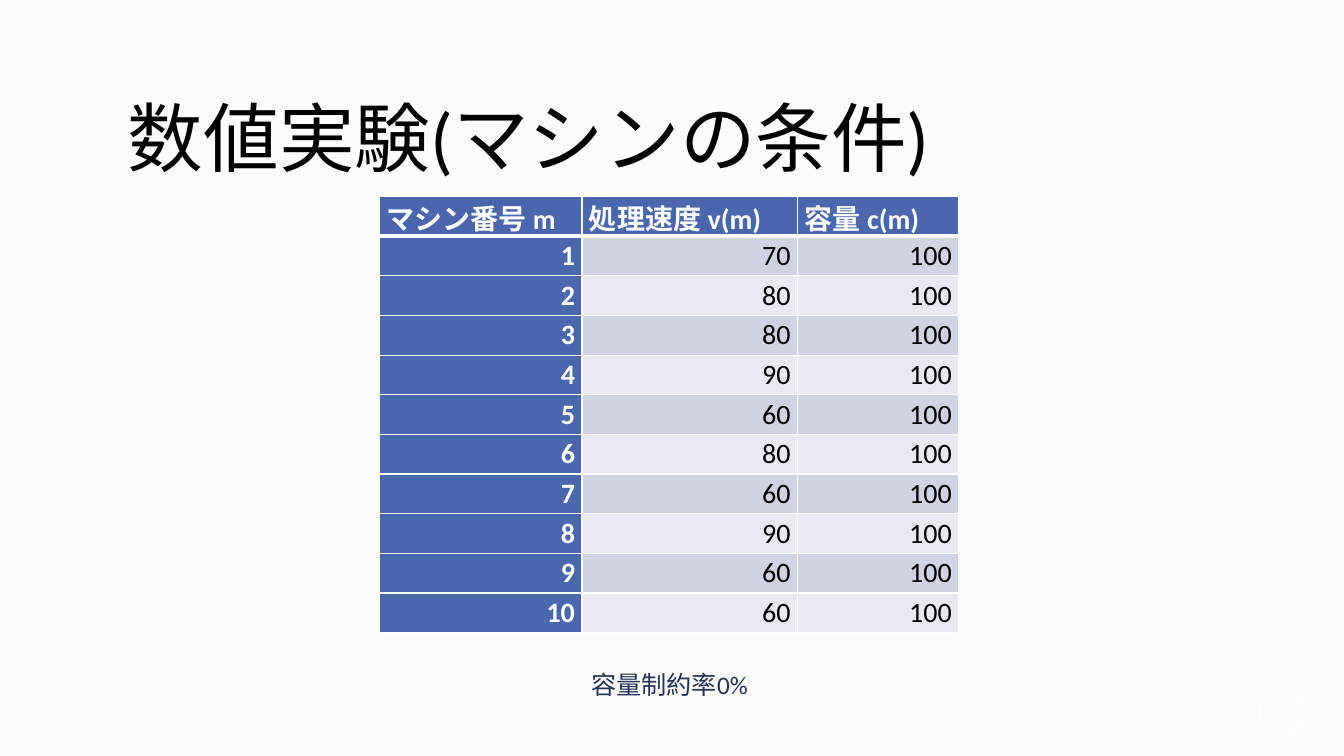
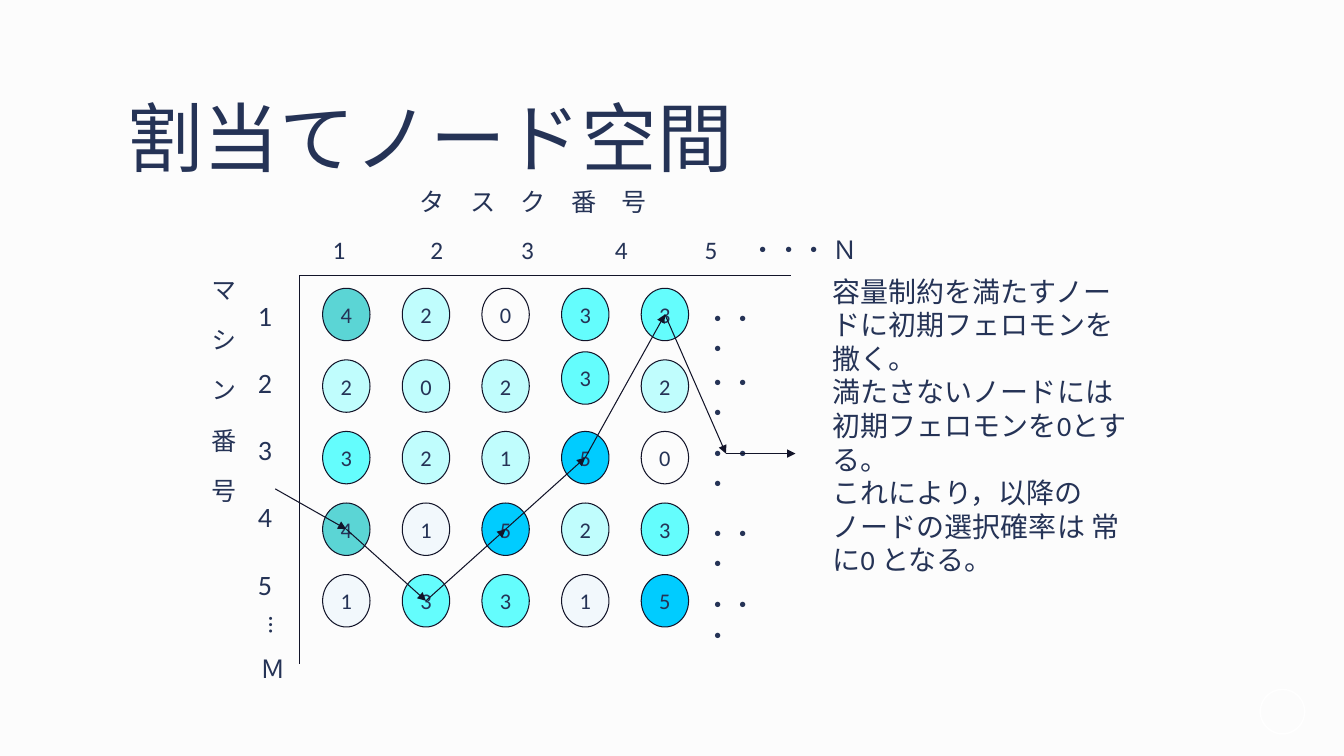
from itertools import pairwise

from lxml import etree
from pptx import Presentation
from pptx.dml.color import RGBColor
from pptx.enum import shapes, text
from pptx.oxml import ns
from pptx import util as u

W, H = 13.33, 7.5
FONT = "Calibri"
BG, INK, LINE, BLACK, WHITE = "FCFCFC", "253356", "121429", "000000", "FFFFFF"
HEAD, BANDS = "4A66AC", ("D0D3E3", "E9EAF1")
LEFT, CENTER, RIGHT = text.PP_ALIGN.LEFT, text.PP_ALIGN.CENTER, text.PP_ALIGN.RIGHT
MIDDLE = text.MSO_ANCHOR.MIDDLE

MACHINE_HEADS = ("マシン番号 m", "処理速度 v(m)", "容量 c(m)")
SPEEDS = (70, 80, 80, 90, 60, 80, 60, 90, 60, 60)
CAPACITY = 100

COL, ROW = 0.79, 0.71
NODE_W, NODE_H = 0.47, 0.52
NODES = ((4, 2, 0, 3, 3), (2, 0, 2, 3, 2), (3, 2, 1, 5, 0), (4, 1, 5, 2, 3), (1, 3, 3, 1, 5))
PHEROMONE = {1: ("CCECFF", 20), 2: ("66FFFF", 40), 3: ("00FFFF", 60),
             4: ("33CCCC", 80), 5: ("00CCFF", 100)}
PALE_NODES = ((1, 1), (2, 2))
RAISED_NODE = (1, 3)
ROUTE = ((3, 0), (4, 1), (3, 2), (2, 3), (0, 4))
TASK_TABS = (0.97, 1.87, 2.8, 3.69, 4.15)
NOTES = ("容量制約を満たすノードに初期フェロモンを撒く。",
         "満たさないノードには初期フェロモンを0とする。",
         "これにより，以降のノードの選択確率は 常に0 となる。")


def rgb(color):
    """Return the colour for a hex string."""
    return RGBColor.from_string(color)


def inches(*values):
    """Turn numbers of inches into lengths."""
    return [u.Inches(v) for v in values]


def sub(parent, tag, **attrs):
    """Append a drawing element to a parent."""
    return etree.SubElement(parent, ns.qn(tag), attrs)


def style(p, size, color=INK, bold=False, align=LEFT):
    """Format a paragraph and its runs."""
    p.alignment = align
    for r in p.runs:
        r.font.name, r.font.size, r.font.bold = FONT, u.Pt(size), bold
        r.font.color.rgb = rgb(color)


def add_text(slide, box, lines, size, color=INK, align=LEFT, vertical=False, after=0):
    """Add a wrapped text box, one paragraph for each line."""
    tf = slide.shapes.add_textbox(*inches(*box)).text_frame
    tf.word_wrap = True
    tf.text = "\n".join(lines)
    for p in tf.paragraphs:
        style(p, size, color, align=align)
        p.space_after = u.Pt(after)
    if vertical:
        tf._txBody.bodyPr.set("vert", "eaVert")
    return tf


def add_line(slide, start, end, arrow=False):
    """Draw a thin line, with an arrowhead at its end if asked."""
    cx = slide.shapes.add_connector(shapes.MSO_CONNECTOR.STRAIGHT, *inches(*start, *end))
    cx.line.color.rgb, cx.line.width = rgb(LINE), u.Pt(0.75)
    if arrow:
        sub(cx.line._get_or_add_ln(), "a:tailEnd", type="triangle")
    sub(cx._element.spPr, "a:effectLst")


def add_ellipse(slide, box, line, width, fill=None, opacity=100):
    """Draw an outlined ellipse with an optional translucent fill."""
    sp = slide.shapes.add_shape(shapes.MSO_SHAPE.OVAL, *inches(*box))
    sp.shadow.inherit = False
    sp.line.color.rgb, sp.line.width = rgb(line), u.Pt(width)
    if fill:
        sp.fill.solid()
        sp.fill.fore_color.rgb = rgb(fill)
        if opacity < 100:
            clr = sp._element.spPr.find(ns.qn("a:solidFill"))[0]
            sub(clr, "a:alpha", val=str(opacity * 1000))
    else:
        sp.fill.background()
    return sp


def add_base(prs, title, color=INK):
    """Add a slide with its corner ring and title."""
    slide = prs.slides.add_slide(prs.slide_layouts[6])
    add_ellipse(slide, (12.5, 6.84, 0.44, 0.44), WHITE, 1)
    tf = add_text(slide, (1.17, 0.53, 11, 1.76), [title], 54, color)
    tf.vertical_anchor = MIDDLE
    tf.paragraphs[0].line_spacing = 0.9
    return slide


def set_borders(cell, top, bottom):
    """Give a cell white borders of the given top and bottom widths."""
    tc_pr = cell._tc.get_or_add_tcPr()
    for i, (side, width) in enumerate(zip("LRTB", (1, 1, top, bottom))):
        ln = etree.Element(ns.qn(f"a:ln{side}"), w=str(u.Pt(width)))
        sub(sub(ln, "a:solidFill"), "a:srgbClr", val=WHITE)
        tc_pr.insert(i, ln)


def add_machine_table(slide, box):
    """Fill a box with the table of machine speeds and capacities."""
    x, y, w, h = box
    rows = [MACHINE_HEADS] + [(i, v, CAPACITY) for i, v in enumerate(SPEEDS, 1)]
    table = slide.shapes.add_table(len(rows), len(MACHINE_HEADS), *inches(*box)).table
    for column, share in zip(table.columns, (0.35, 0.372, 0.278)):
        column.width = u.Inches(w * share)
    for i, values in enumerate(rows):
        table.rows[i].height = u.Inches(h / len(rows))
        for j, value in enumerate(values):
            cell = table.cell(i, j)
            head = i == 0 or j == 0
            cell.text = str(value)
            cell.vertical_anchor = MIDDLE
            cell.margin_left = cell.margin_right = u.Inches(0.07)
            cell.margin_top = cell.margin_bottom = 0
            cell.fill.solid()
            cell.fill.fore_color.rgb = rgb(HEAD if head else BANDS[(i - 1) % 2])
            set_borders(cell, 3 if i == 1 else 1, 3 if i == 0 else 1)
            style(cell.text_frame.paragraphs[0], 20, WHITE if head else BLACK, head,
                  RIGHT if i else LEFT)


def add_axes(slide, box):
    """Draw the task and machine axes with their labels."""
    x, y, w, h = box
    add_line(slide, (x, y), (x + w, y))
    add_line(slide, (x, y), (x, y + h))
    add_text(slide, (x + 0.31, y - 0.93, 4.02, 0.4), ["タ　ス　ク　番　号"], 18, align=CENTER)
    tf = add_text(slide, (x + 0.23, y - 0.45, 6.43, 0.4),
                  ["\t".join(("1", "2", "3", "4", "5", "・・・ Ｎ"))], 18)
    tabs = sub(tf.paragraphs[0]._p.get_or_add_pPr(), "a:tabLst")
    for pos in TASK_TABS:
        sub(tabs, "a:tab", pos=str(u.Inches(pos)), algn="l")
    add_text(slide, (x - 0.51, y + 0.18, 0.5, 3.47), "12345", 20, after=24)
    for label, dx, dy, length in (("マ　シ　ン　番　号", -1.06, -0.08, 4.1),
                                  ("…", -0.5, 3.29, 0.55), ("Ｍ", -0.57, 3.69, 0.55)):
        add_text(slide, (x + dx, y + dy, 0.5, length), [label], 18, vertical=True)
    for dy in (0.23, 0.86, 1.57, 2.36, 3.07):
        add_text(slide, (x + 3.93, y + dy, COL, ROW), ["・・・"], 18)


def add_nodes(slide, x, y):
    """Draw the grid of pheromone nodes from its top left corner."""
    for i, values in enumerate(NODES):
        for j, value in enumerate(values):
            top = y + i * ROW - (0.08 if (i, j) == RAISED_NODE else 0)
            fill = PHEROMONE[2] if (i, j) in PALE_NODES else PHEROMONE.get(value, (None, 100))
            sp = add_ellipse(slide, (x + j * COL, top, NODE_W, NODE_H), LINE, 0.75, *fill)
            tf = sp.text_frame
            tf.margin_left = tf.margin_right = tf.margin_top = tf.margin_bottom = 0
            tf.vertical_anchor = MIDDLE
            tf.text = str(value)
            style(tf.paragraphs[0], 16, align=CENTER)


def add_route(slide, x, y):
    """Draw the chain of arrows through the chosen nodes."""
    centers = [(x + j * COL + NODE_W / 2, y + i * ROW + NODE_H / 2) for i, j in ROUTE]
    points = [(x - 0.47, y + 1.99), *centers, (x + 4, y + 1.64), (x + 4.69, y + 1.64)]
    for start, end in pairwise(points):
        add_line(slide, start, end, arrow=True)


def machine_slide(prs):
    """Build the slide on machine conditions."""
    slide = add_base(prs, "数値実験(マシンの条件)", BLACK)
    add_machine_table(slide, (3.76, 1.95, 5.75, 4.33))
    add_text(slide, (5.14, 6.59, 3, 0.4), ["容量制約率0%"], 18, align=CENTER)


def node_slide(prs):
    """Build the slide on the assignment node space."""
    slide = add_base(prs, "割当てノード空間")
    add_axes(slide, (2.97, 2.73, 4.88, 3.86))
    add_nodes(slide, 3.2, 2.86)
    add_route(slide, 3.2, 2.86)
    add_text(slide, (8.16, 2.67, 3.12, 3.47), NOTES, 20)


def main():
    """Build and save the presentation."""
    prs = Presentation()
    prs.slide_width, prs.slide_height = inches(W, H)
    fill = prs.slide_master.background.fill
    fill.solid()
    fill.fore_color.rgb = rgb(BG)
    machine_slide(prs)
    node_slide(prs)
    prs.save("out.pptx")


if __name__ == "__main__":
    main()
